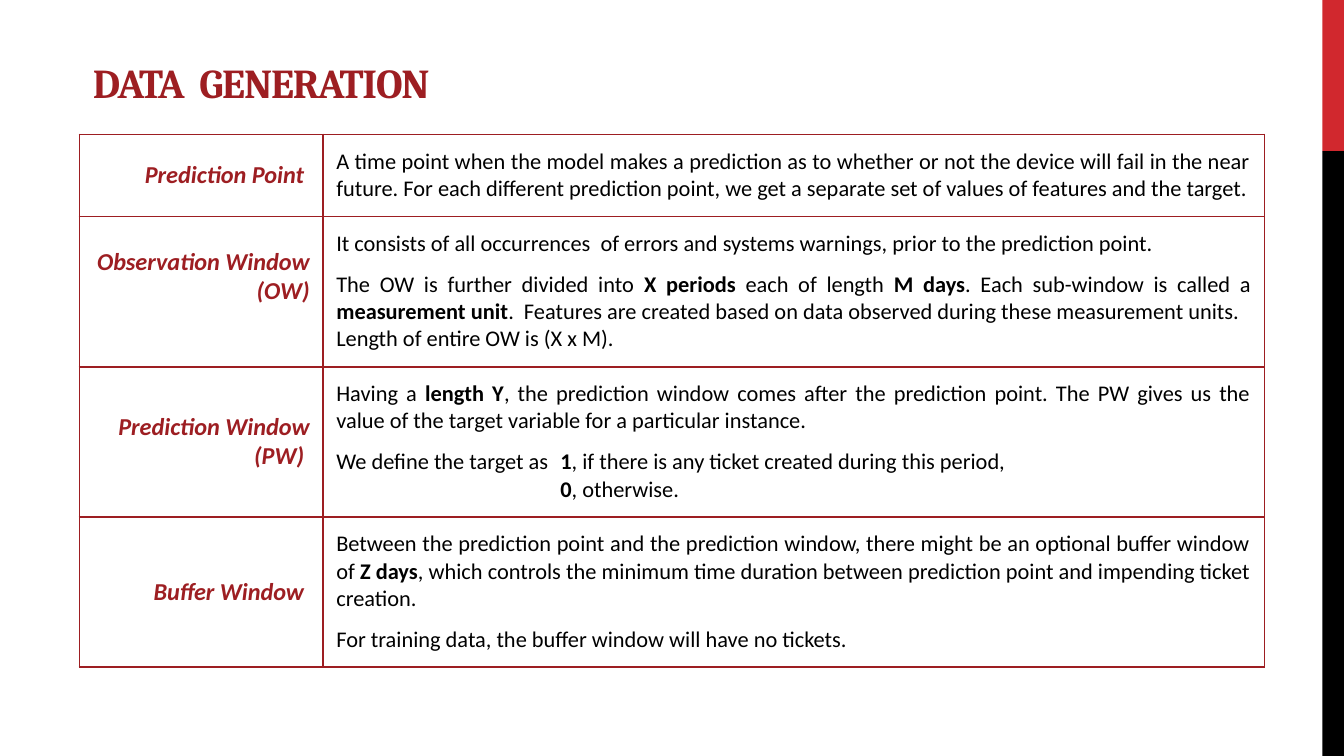
"""Build the data generation slide with its table of definitions."""
import lxml.etree
import pptx
import pptx.dml.color
import pptx.enum.shapes
import pptx.enum.text
import pptx.oxml.ns
import pptx.util

Pt = pptx.util.Pt
RGB = pptx.dml.color.RGBColor
ALIGN = pptx.enum.text.PP_ALIGN
ANCHOR = pptx.enum.text.MSO_ANCHOR
WINE = RGB(0x9D, 0x1E, 0x22)
RED = RGB(0xD1, 0x28, 0x2E)
BLACK = RGB(0, 0, 0)
WHITE = RGB(0xFF, 0xFF, 0xFF)
GAP = Pt(7.3)

ROWS = [
    (44, ["Prediction Point "], [
        "A time point when the model makes a prediction as to whether or not the device "
        "will fail in the near future. For each different prediction point, we get a "
        "separate set of values of features and the target."]),
    (80.5, ["Observation Window", "(OW)"], [
        "It consists of all occurrences  of errors and systems warnings, prior to the "
        "prediction point. ",
        "The OW is further divided into *X periods *each of length *M days*. Each "
        "sub-window is called a *measurement unit*.  Features are created based on data "
        "observed during these measurement units.",
        "Length of entire OW is (X x M)."]),
    (80.5, ["Prediction Window", "(PW) "], [
        "Having a *length Y*, the prediction window comes after the prediction point. The "
        "PW gives us the value of the target variable for a particular instance. ",
        "We define the target as\t*1*, if there is any ticket created during this period,",
        "\t*0*, otherwise."]),
    (80.5, ["Buffer Window "], [
        "Between the prediction point and the prediction window, there might be an "
        "optional buffer window of *Z days*, which controls the minimum time duration "
        "between prediction point and impending ticket creation. ",
        "For training data, the buffer window will have no tickets. "]),
]


def add(parent, tag, **attrs):
    return lxml.etree.SubElement(parent, pptx.oxml.ns.qn(tag), **attrs)


def style(run, size, color, bold, face="Calibri"):
    run.font.name = face
    run.font.size = Pt(size)
    run.font.color.rgb = color
    run.font.bold = bold


deck = pptx.Presentation()
deck.slide_width = Pt(720)
deck.slide_height = Pt(405)
slide = deck.slides.add_slide(deck.slide_layouts[5])

for top, height, color in [(0, 81, RED), (81, 324, BLACK)]:
    bar = slide.shapes.add_shape(
        pptx.enum.shapes.MSO_SHAPE.RECTANGLE, Pt(708.5), Pt(top), Pt(11.5), Pt(height))
    bar.shadow.inherit = False
    bar.fill.solid()
    bar.fill.fore_color.rgb = color
    bar.line.fill.background()

title = slide.shapes.title
title.left, title.top, title.width, title.height = Pt(42.5), Pt(21), Pt(456), Pt(40)
title.text_frame.text = "DATA  GENERATION"
title.text_frame.vertical_anchor = ANCHOR.BOTTOM
head = title.text_frame.paragraphs[0]
head.alignment = ALIGN.LEFT
style(head.runs[0], 22, WINE, True, "Cambria")
head.runs[0].font._element.set("spc", "-60")

total = sum(row[0] for row in ROWS)
table = slide.shapes.add_table(
    len(ROWS), 2, Pt(42.5), Pt(72), Pt(635), Pt(total)).table
table.first_row = False
table.horz_banding = False
table.columns[0].width = Pt(130.5)
table.columns[1].width = Pt(504.5)

for i, (height, label, body) in enumerate(ROWS):
    table.rows[i].height = Pt(height)
    for j, lines in enumerate([label, body]):
        cell = table.cell(i, j)
        props = cell._tc.get_or_add_tcPr()
        for side in "LRTB":
            edge = add(props, "a:ln" + side, w=str(Pt(1)))
            add(add(edge, "a:solidFill"), "a:srgbClr", val=str(WINE))
        cell.fill.solid()
        cell.fill.fore_color.rgb = WHITE
        cell.vertical_anchor = ANCHOR.TOP if j else ANCHOR.MIDDLE
        if j:
            cell.margin_top = GAP
        frame = cell.text_frame
        for n, line in enumerate(lines):
            para = frame.add_paragraph() if n else frame.paragraphs[0]
            para.alignment = ALIGN.JUSTIFY if j else ALIGN.RIGHT
            if j and n == 1:
                para.space_before = GAP
            if "\t" in line:
                tabs = add(para._p.get_or_add_pPr(), "a:tabLst")
                add(tabs, "a:tab", pos=str(Pt(120)), algn="l")
            for k, part in enumerate(line.split("*")):
                run = para.add_run()
                run.text = part
                style(run, 12 if j else 13, BLACK if j else WINE, not j or k % 2 == 1)
                run.font.italic = not j

table.cell(1, 0).margin_bottom = Pt(19.5)

deck.save("out.pptx")
